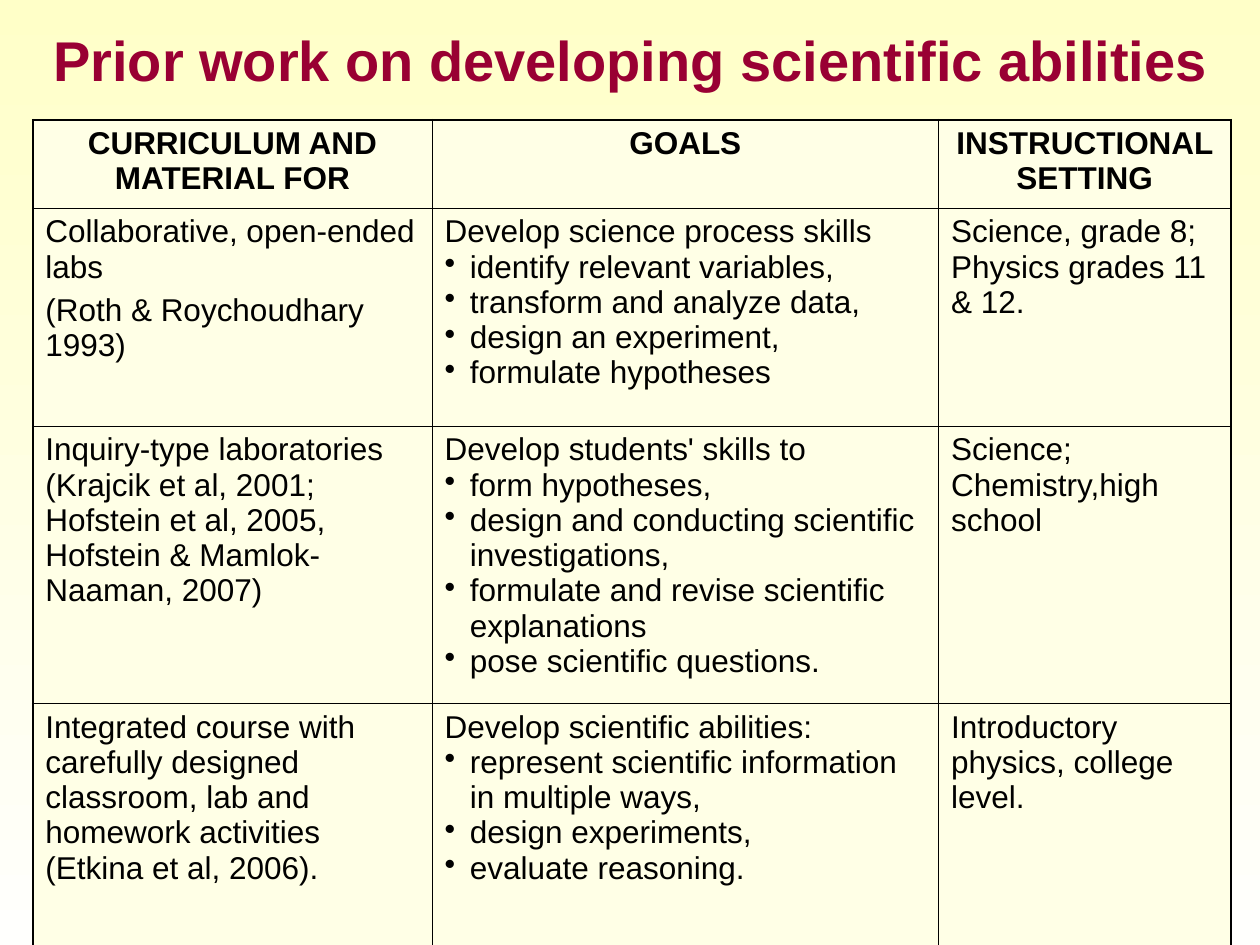
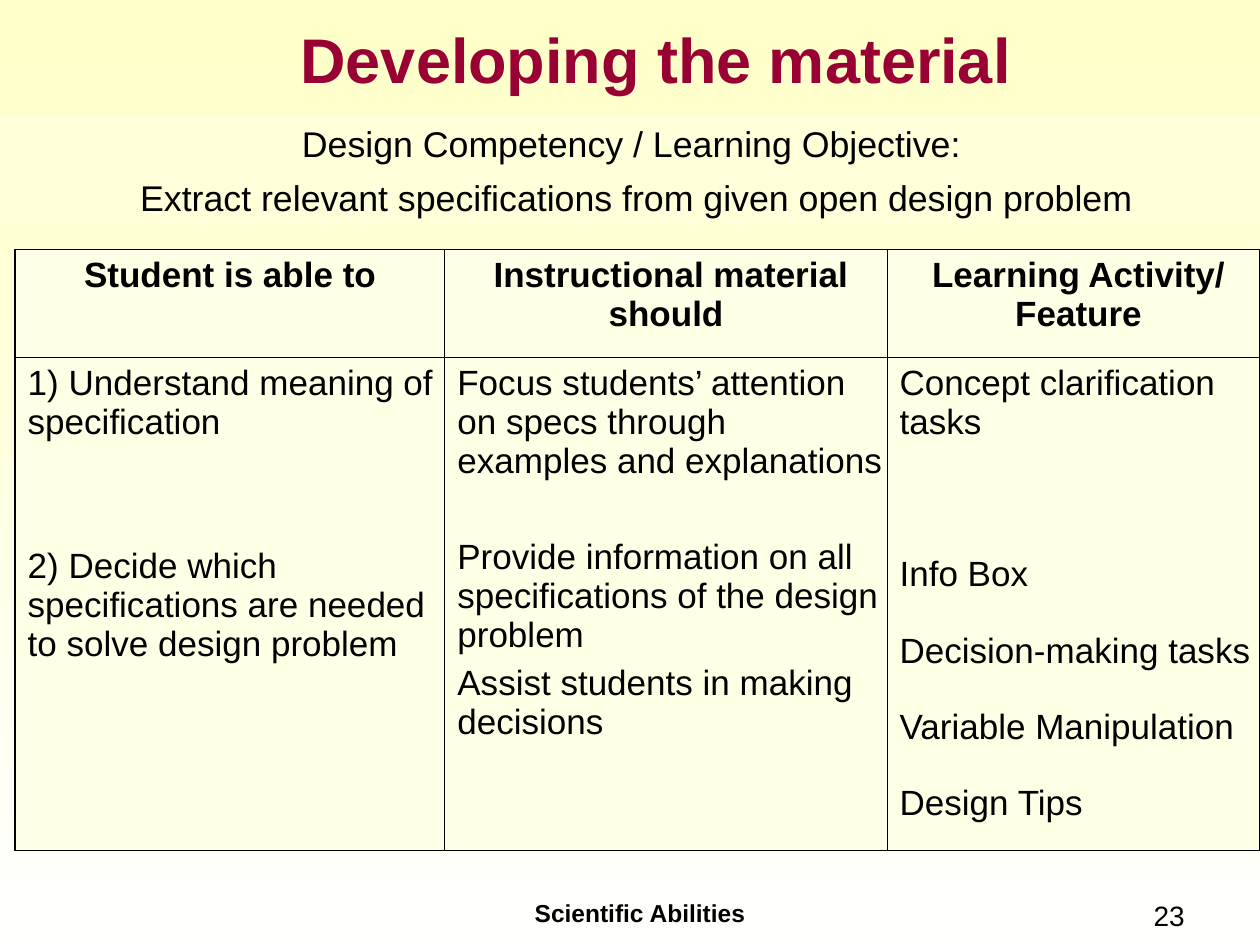
from dataclasses import dataclass

from lxml.etree import SubElement
from pptx import Presentation
from pptx.dml.color import RGBColor
from pptx.enum.shapes import MSO_SHAPE as Shape
from pptx.enum.text import MSO_ANCHOR as Anchor, PP_ALIGN as Align
from pptx.oxml.ns import qn
from pptx.util import Inches, Pt

# Shared look
FONT = "Arial"
INK, TITLE_RED = "000000", "990033"
PAGE_TOP, PAGE_BOTTOM = "FFFFC8", "FFFFFD"
CELL_FILL, BAND_FILL = "FFFFE6", "FFFFD9"
OUTER_LINE, INNER_LINE = 1.08, 0.45
BULLET_INDENT = 0.2


@dataclass
class Line:
    text: str
    gap: float = 0  # space before, in points
    bullet: bool = False


def goals(lead, *points):
    return [Line(lead)] + [Line(point, bullet=True) for point in points]


# Content: prior work
PRIOR_TITLE = "Prior work on developing scientific abilities"
PRIOR_ROWS = [
    [[Line("CURRICULUM AND MATERIAL FOR")], [Line("GOALS")],
     [Line("INSTRUCTIONAL SETTING")]],
    [[Line("Collaborative, open-ended labs"),
      Line("(Roth & Roychoudhary 1993)", 4.5)],
     goals("Develop science process skills",
           "identify relevant variables,",
           "transform and analyze data,",
           "design an experiment,",
           "formulate hypotheses"),
     [Line("Science, grade 8; Physics grades 11 & 12.")]],
    [[Line("Inquiry-type laboratories (Krajcik et al, 2001; Hofstein et al, "
           "2005, Hofstein & Mamlok-Naaman, 2007)")],
     goals("Develop students' skills to",
           "form hypotheses,",
           "design and conducting scientific investigations,",
           "formulate and revise scientific explanations",
           "pose scientific questions."),
     [Line("Science; Chemistry,high school")]],
    [[Line("Integrated course with carefully designed classroom, lab and "
           "homework activities (Etkina et al, 2006).")],
     goals("Develop scientific abilities:",
           "represent scientific information in multiple ways,",
           "design experiments,",
           "evaluate reasoning."),
     [Line("Introductory physics, college level.")]],
]

# Content: developing the material
MATERIAL_TITLE = "Developing the material"
OBJECTIVE = [
    Line("Design Competency / Learning Objective: "),
    Line("Extract relevant specifications from given open design problem", 6),
]
MATERIAL_ROWS = [
    [[Line("Student is able to ")], [Line("Instructional material should ")],
     [Line("Learning Activity/ Feature")]],
    [[Line("1) Understand meaning of specification"),
      Line("2) Decide which specifications are needed to solve design problem",
           59.5)],
     [Line("Focus students’ attention on specs through examples and "
           "explanations"),
      Line("Provide information on all specifications of the design problem",
           32.5),
      Line("Assist students in making decisions", 5)],
     [Line("Concept clarification tasks"),
      Line("Info Box", 64.6),
      Line("Decision-making tasks", 21.3),
      Line("Variable Manipulation", 21.3),
      Line("Design Tips", 21.3)]],
]
FOOTER, PAGE_NUMBER = "Scientific Abilities", "23"


def color(hex_text):
    return RGBColor.from_string(hex_text)


def write(frame, lines, size, ink=INK, bold=False, align=Align.LEFT,
          spacing=None, indent=0):
    """Fill a text frame with one paragraph per line."""
    frame.word_wrap = True
    frame.text = "\n".join(line.text for line in lines)
    for para, line in zip(frame.paragraphs, lines):
        para.alignment = align
        if spacing:
            para.line_spacing = spacing
        if line.gap:
            para.space_before = Pt(line.gap)
        props = para._p.get_or_add_pPr()
        if indent:
            props.set("marL", str(Inches(indent)))
        if line.bullet:
            props.set("marL", str(Inches(BULLET_INDENT)))
            props.set("indent", str(-Inches(BULLET_INDENT)))
            SubElement(props, qn("a:buChar"), char="•")
        for span in para.runs:
            font = span.font
            font.name, font.size, font.bold = FONT, Pt(size), bold
            font.color.rgb = color(ink)


def add_text(page, place, text, size, side=0.1, anchor=Anchor.TOP, **style):
    box = page.shapes.add_textbox(*map(Inches, place))
    frame = box.text_frame
    frame.margin_left = frame.margin_right = Inches(side)
    frame.vertical_anchor = anchor
    write(frame, [Line(text)], size, **style)


def add_page(deck, title, place, size):
    """Add a page with the shared gradient and title style."""
    page = deck.slides.add_slide(deck.slide_layouts[6])
    fill = page.background.fill
    fill.gradient()
    fill.gradient_angle = 270
    for stop, shade, position in zip(fill.gradient_stops,
                                     (PAGE_TOP, PAGE_BOTTOM), (0, 1)):
        stop.color.rgb = color(shade)
        stop.position = position
    add_text(page, place, title, size, side=0, anchor=Anchor.MIDDLE,
             ink=TITLE_RED, bold=True, align=Align.CENTER, spacing=1.1)
    return page


def add_border(cell, side, width):
    props = cell._tc.get_or_add_tcPr()
    line = SubElement(props, qn(f"a:ln{side}"), w=str(Pt(width)))
    fill = SubElement(line, qn("a:solidFill"))
    SubElement(fill, qn("a:srgbClr"), val=INK)


def add_grid(page, left, top, widths, heights, rows, size, right_margin):
    """Add a table with a bold centred header and a heavier outer border."""
    frame = page.shapes.add_table(
        len(rows), len(widths), Inches(left), Inches(top),
        Inches(sum(widths)), Inches(sum(heights)))
    table = frame.table
    table.horz_banding = table.first_row = False
    for column, width in zip(table.columns, widths):
        column.width = Inches(width)
    for row, height in zip(table.rows, heights):
        row.height = Inches(height)
    for r, row in enumerate(rows):
        for c, lines in enumerate(row):
            cell = table.cell(r, c)
            cell.margin_left, cell.margin_right = Inches(0.1), Inches(right_margin)
            cell.margin_top = cell.margin_bottom = Inches(0.05)
            edges = {"L": c == 0, "R": c == len(row) - 1,
                     "T": r == 0, "B": r == len(rows) - 1}
            for side, outer in edges.items():
                add_border(cell, side, OUTER_LINE if outer else INNER_LINE)
            cell.fill.solid()
            cell.fill.fore_color.rgb = color(CELL_FILL)
            write(cell.text_frame, lines, size, bold=r == 0,
                  align=Align.CENTER if r == 0 else Align.LEFT)


def add_objective_band(page):
    band = page.shapes.add_shape(Shape.RECTANGLE, 0, Inches(0.91),
                                 Inches(10), Inches(0.88))
    band.shadow.inherit = False
    band.fill.solid()
    band.fill.fore_color.rgb = color(BAND_FILL)
    band.line.fill.background()
    band.text_frame.vertical_anchor = Anchor.MIDDLE
    write(band.text_frame, OBJECTIVE, 20.4, align=Align.CENTER, indent=0.1)


def main():
    deck = Presentation()
    deck.slide_width, deck.slide_height = Inches(10), Inches(7.5)

    # Prior work
    page = add_page(deck, PRIOR_TITLE, (0.26, 0.2, 9.5, 0.48), 32)
    add_grid(page, 0.26, 0.95, (3.17, 4.02, 2.32), (0.7, 1.73, 2.2, 1.97),
             PRIOR_ROWS, 18, right_margin=0.1)

    # Developing the material
    page = add_page(deck, MATERIAL_TITLE, (0.5, 0.09, 9.41, 0.68), 36)
    add_grid(page, 0.12, 1.98, (3.41, 3.51, 2.96), (0.86, 3.91),
             MATERIAL_ROWS, 20, right_margin=0.02)
    add_objective_band(page)
    add_text(page, (3.08, 7.08, 4, 0.42), FOOTER, 14, bold=True,
             align=Align.CENTER)
    add_text(page, (8.08, 7.08, 1.42, 0.42), PAGE_NUMBER, 16,
             align=Align.RIGHT)

    deck.save("out.pptx")


if __name__ == "__main__":
    main()
